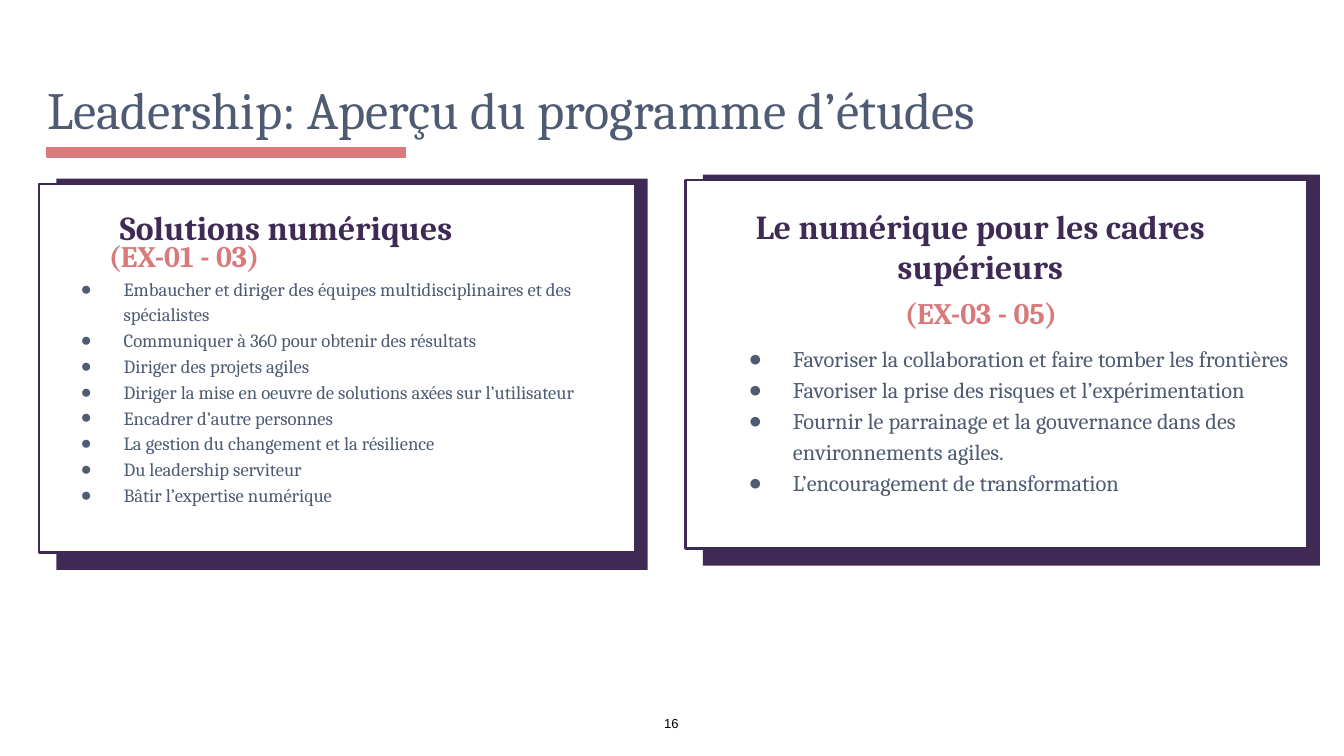
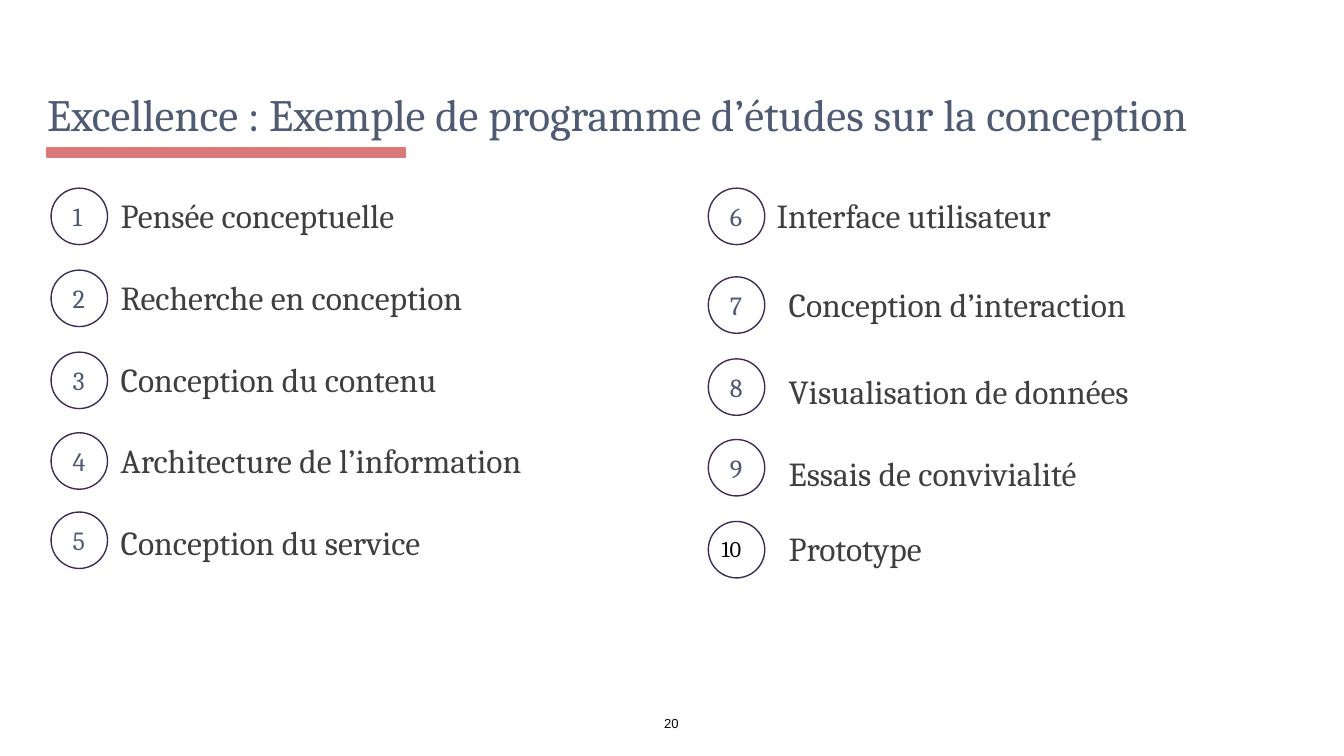
from lxml.etree import SubElement
from pptx import Presentation
from pptx.dml.color import RGBColor
from pptx.enum.shapes import MSO_SHAPE
from pptx.enum.text import MSO_ANCHOR, MSO_AUTO_SIZE, PP_ALIGN
from pptx.oxml.ns import qn
from pptx.util import Inches, Pt

SLATE = RGBColor(0x4E, 0x5B, 0x73)
PURPLE = RGBColor(0x3F, 0x2A, 0x56)
CORAL = RGBColor(0xDA, 0x79, 0x7A)
CHARCOAL = RGBColor(0x3F, 0x3F, 0x3F)
BLACK = RGBColor(0, 0, 0)
WHITE = RGBColor(0xFF, 0xFF, 0xFF)

SLIDE_WIDTH = 10
SLIDE_HEIGHT = SLIDE_WIDTH * 9 / 16
TWO_CONTENT, TITLE_ONLY = 3, 5
CIRCLE_SIZE = 0.42

SOLUTIONS = [
    "Embaucher et diriger des équipes multidisciplinaires et des spécialistes",
    "Communiquer à 360 pour obtenir des résultats",
    "Diriger des projets agiles",
    "Diriger la mise en oeuvre de solutions axées sur l’utilisateur",
    "Encadrer d’autre personnes",
    "La gestion du changement et la résilience",
    "Du leadership serviteur",
    "Bâtir l’expertise numérique",
]
SENIOR_LEADERS = [
    "Favoriser la collaboration et faire tomber les frontières",
    "Favoriser la prise des risques et l’expérimentation",
    "Fournir le parrainage et la gouvernance dans des environnements agiles.",
    "L’encouragement de transformation",
]

# Subject, circle left and top, label left and top
SUBJECTS = [
    ("Pensée conceptuelle", 0.38, 1.4, 0.8, 1.35),
    ("Recherche en conception", 0.38, 2.01, 0.8, 1.96),
    ("Conception du contenu", 0.38, 2.62, 0.8, 2.57),
    ("Architecture de l’information", 0.38, 3.22, 0.8, 3.17),
    ("Conception du service", 0.38, 3.81, 0.8, 3.78),
    ("Interface utilisateur", 5.27, 1.4, 5.68, 1.35),
    ("Conception d’interaction", 5.27, 2.06, 5.77, 2.01),
    ("Visualisation de données", 5.27, 2.67, 5.77, 2.66),
    ("Essais de convivialité", 5.27, 3.27, 5.77, 3.27),
    ("Prototype", 5.27, 3.88, 5.77, 3.83),
]


def box(left, top, width, height):
    return [Inches(length) for length in (left, top, width, height)]


def add_bullet(paragraph, color, hanging):
    properties = paragraph._p.get_or_add_pPr()
    properties.set("marL", str(Inches(0.5)))
    properties.set("indent", str(-Inches(hanging)))
    bullet_color = SubElement(properties, qn("a:buClr"))
    SubElement(bullet_color, qn("a:srgbClr"), val=str(color))
    SubElement(properties, qn("a:buFont"), typeface="Arial")
    SubElement(properties, qn("a:buChar"), char="●")


def write(shape, *lines, size, color=SLATE, font="Cambria", bold=False,
          align=PP_ALIGN.LEFT, anchor=MSO_ANCHOR.TOP, inset=0.1,
          line_spacing=1.0, hanging=None):
    """Fill a shape with one paragraph a line; hanging turns on bullets."""
    frame = shape.text_frame
    frame.word_wrap = True
    frame.auto_size = MSO_AUTO_SIZE.NONE
    frame.vertical_anchor = anchor
    frame.margin_left = frame.margin_right = Inches(inset)
    frame.margin_top = frame.margin_bottom = Inches(inset)
    for index, line in enumerate(lines):
        paragraph = frame.add_paragraph() if index else frame.paragraphs[0]
        paragraph.alignment = align
        paragraph.line_spacing = line_spacing
        paragraph.space_before = Pt(0)
        if hanging:
            add_bullet(paragraph, color, hanging)
        run = paragraph.add_run()
        run.text = line
        run.font.name = font
        run.font.size = Pt(size)
        run.font.bold = bold
        run.font.color.rgb = color


class Deck:
    def __init__(self):
        self.presentation = Presentation()
        self.presentation.slide_width = Inches(SLIDE_WIDTH)
        self.presentation.slide_height = Inches(SLIDE_HEIGHT)
        self.slide = None

    def start_slide(self, layout, title, title_size, number):
        layouts = self.presentation.slide_layouts
        self.slide = self.presentation.slides.add_slide(layouts[layout])
        heading = self.slide.shapes.title
        self.place(heading, 0.35, 0.16, 9.3, 0.89)
        write(heading, title, size=title_size, anchor=MSO_ANCHOR.BOTTOM,
              inset=0, line_spacing=0.9)
        self.shape(MSO_SHAPE.RECTANGLE, 0.35, 1.1, 2.67, 0.07,
                   fill=CORAL, line=CORAL)
        self.text(number, 4.83, 5.3, 0.33, 0.16, size=7, font="Arial",
                  color=BLACK, align=PP_ALIGN.CENTER,
                  anchor=MSO_ANCHOR.MIDDLE, inset=0)

    def place(self, shape, *position):
        shape.left, shape.top, shape.width, shape.height = box(*position)

    def shape(self, kind, *position, fill=None, line=None, line_width=0.75):
        shape = self.slide.shapes.add_shape(kind, *box(*position))
        shape.shadow.inherit = False
        if fill is None:
            shape.fill.background()
        else:
            shape.fill.solid()
            shape.fill.fore_color.rgb = fill
        if line is None:
            shape.line.fill.background()
        else:
            shape.line.color.rgb = line
            shape.line.width = Pt(line_width)
        return shape

    def text(self, text, *position, **style):
        write(self.slide.shapes.add_textbox(*box(*position)), text, **style)

    def bullets(self, index, lines, *position, **style):
        """Fill a body placeholder and bring it in front of its card."""
        body = self.slide.placeholders[index]
        body.element.getparent().append(body.element)
        self.place(body, *position)
        write(body, *lines, line_spacing=1.15, **style)

    def card(self, left, top, width, shade_width):
        self.shape(MSO_SHAPE.RECTANGLE, left + 0.13, top - 0.04,
                   shade_width, 2.91, fill=PURPLE)
        self.shape(MSO_SHAPE.RECTANGLE, left, top, width, 2.74,
                   fill=WHITE, line=PURPLE, line_width=1.5)

    def card_heading(self, name, name_box, level, level_box):
        style = {"bold": True, "align": PP_ALIGN.CENTER}
        self.text(name, *name_box, size=18, color=PURPLE, **style)
        self.text(level, *level_box, size=16, color=CORAL, **style)

    def circle(self, number, left, top):
        position = (left, top, CIRCLE_SIZE, CIRCLE_SIZE)
        circle = self.shape(MSO_SHAPE.OVAL, *position, line=PURPLE)
        if number < 10:
            write(circle, str(number), size=14, anchor=MSO_ANCHOR.MIDDLE)
        else:  # two digits need the full width of the circle
            self.text(str(number), *position, size=12, color=BLACK)


def add_leadership_slide(deck):
    deck.start_slide(TWO_CONTENT, "Leadership: Aperçu du programme d’études",
                     28, "16")
    deck.card(5.1, 1.34, 4.63, 4.59)
    deck.bullets(2, SENIOR_LEADERS, 5.3, 2.44, 4.45, 2.13,
                 size=12, hanging=0.33)
    deck.card_heading("Le numérique pour les cadres supérieurs",
                      (5.13, 1.43, 4.33, 0.77),
                      "(EX-03 - 05)", (6.12, 2.09, 2.36, 0.4))
    deck.card(0.29, 1.37, 4.44, 4.4)
    deck.bullets(1, SOLUTIONS, 0.32, 1.94, 4.3, 2.13, size=10, hanging=0.32)
    deck.card_heading("Solutions numériques", (0.35, 1.44, 3.56, 0.45),
                      "(EX-01 - 03)", (0.17, 1.67, 2.4, 0.39))


def add_design_slide(deck):
    deck.start_slide(
        TITLE_ONLY,
        "Excellence : Exemple de programme d’études sur la conception",
        24, "20")
    for number, subject in enumerate(SUBJECTS, start=1):
        name, circle_left, circle_top, label_left, label_top = subject
        deck.circle(number, circle_left, circle_top)
        deck.text(name, label_left, label_top, 4.04, 0.52,
                  size=18, color=CHARCOAL)


def main():
    deck = Deck()
    add_leadership_slide(deck)
    add_design_slide(deck)
    deck.presentation.save("out.pptx")


if __name__ == "__main__":
    main()
